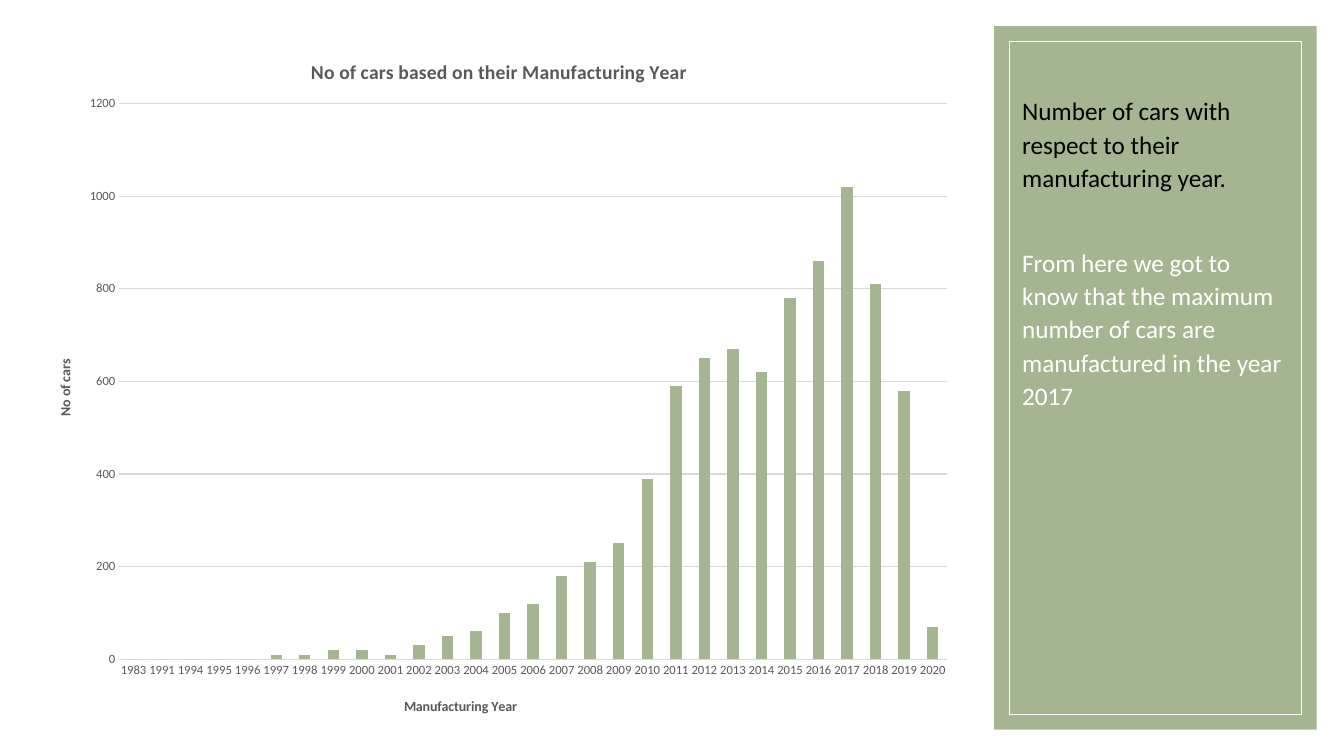
from lxml import etree
from pptx import Presentation, util as u
from pptx.chart.data import CategoryChartData
from pptx.dml.color import RGBColor
from pptx.enum import chart as ch, shapes, text
from pptx.oxml.ns import qn

WIDTH, HEIGHT = 13.33, 7.5
FONT = "Calibri"
GREEN, WHITE, BLACK, GREY, GRID = "A5B592", "FFFFFF", "000000", "595959", "D9D9D9"
PANEL = (9.86, 0.26, 3.2, 6.98)
FRAME_INSET = 0.15
CHART = (0.25, 0.26, 9.33, 6.98)
NOTES_BOX = (10.04, 0.87, 2.87, 3.83)
NOTES = [
    ("Number of cars with respect to their manufacturing year.", BLACK, 8),
    ("From here we got to know that the maximum number of cars are manufactured in the year 2017", WHITE, 37),
]
YEARS = ["1983", "1991"] + [str(year) for year in range(1994, 2021)]
CARS = [0, 0, 0, 0, 0, 10, 10, 20, 20, 10, 30, 50, 60, 100, 120, 180, 210, 250,
        390, 590, 650, 670, 620, 780, 860, 1020, 810, 580, 70]
HEADING = ("No of cars based on their Manufacturing Year", 14, {"x": 0.3, "y": 0.04})
YEAR_TITLE = ("Manufacturing Year", 10, {"x": 0.4, "y": 0.95})
CARS_TITLE = ("No of cars", 10, {"x": 0.03, "y": 0.47})
PLOT = {"x": 0.1, "y": 0.11, "w": 0.88, "h": 0.79}


def colour(code):
    return RGBColor.from_string(code)


def inches(box):
    return [u.Inches(length) for length in box]


def style(font, size, code, bold=False):
    font.name, font.size, font.bold = FONT, u.Pt(size), bold
    font.color.rgb = colour(code)


def place(part, position, shares, inner=False):
    for old in part.findall(qn("c:layout")):
        part.remove(old)
    layout = etree.Element(qn("c:layout"))
    manual = etree.SubElement(layout, qn("c:manualLayout"))
    if inner:
        etree.SubElement(manual, qn("c:layoutTarget")).set("val", "inner")
    for side in "xy":
        etree.SubElement(manual, qn(f"c:{side}Mode")).set("val", "edge")
    for side, share in shares.items():
        etree.SubElement(manual, qn(f"c:{side}")).set("val", str(share))
    part.insert(position, layout)


def write_title(owner, content):
    words, size, shares = content
    owner.has_title = True
    title = owner.chart_title if hasattr(owner, "chart_title") else owner.axis_title
    run = title.text_frame.paragraphs[0].add_run()
    run.text = words
    style(run.font, size, GREY, True)
    place(title._element, 1, shares)


def add_panel(slide):
    left, top, width, height = PANEL
    frame = (left + FRAME_INSET, top + FRAME_INSET,
             width - 2 * FRAME_INSET, height - 2 * FRAME_INSET)
    for box in (PANEL, frame):
        panel = slide.shapes.add_shape(shapes.MSO_SHAPE.RECTANGLE, *inches(box))
        panel.shadow.inherit = False
        if box is PANEL:
            panel.fill.solid()
            panel.fill.fore_color.rgb = colour(GREEN)
            panel.line.fill.background()
        else:
            panel.fill.background()
            panel.line.color.rgb = colour(WHITE)
            panel.line.width = u.Pt(0.5)


def add_car_chart(slide):
    data = CategoryChartData()
    data.categories = YEARS
    data.add_series("Series 1", CARS)
    chart = slide.shapes.add_chart(
        ch.XL_CHART_TYPE.COLUMN_STACKED, *inches(CHART), data).chart
    chart.has_legend = False
    style(chart.font, 10, BLACK)
    bars = chart.plots[0]
    bars.vary_by_categories = False
    bars.gap_width, bars.overlap = 150, 100
    bars.series[0].format.fill.solid()
    bars.series[0].format.fill.fore_color.rgb = colour(GREEN)
    for axis in (chart.category_axis, chart.value_axis):
        axis.major_tick_mark = axis.minor_tick_mark = ch.XL_TICK_MARK.NONE
        axis.format.line.fill.background()
        style(axis.tick_labels.font, 9, GREY)
    cars = chart.value_axis
    cars.minimum_scale, cars.maximum_scale, cars.major_unit = 0, 1200, 200
    cars.has_major_gridlines = True
    cars.major_gridlines.format.line.color.rgb = colour(GRID)
    cars.major_gridlines.format.line.width = u.Pt(0.75)
    write_title(chart, HEADING)
    write_title(chart.category_axis, YEAR_TITLE)
    write_title(cars, CARS_TITLE)
    place(chart._chartSpace.chart.plotArea, 0, PLOT, True)


def add_notes(slide):
    frame = slide.shapes.add_textbox(*inches(NOTES_BOX)).text_frame
    frame.word_wrap = True
    frame.vertical_anchor = text.MSO_ANCHOR.TOP
    for number, (words, code, gap) in enumerate(NOTES):
        paragraph = frame.add_paragraph() if number else frame.paragraphs[0]
        paragraph.line_spacing = 1.1
        paragraph.space_before = u.Pt(gap)
        run = paragraph.add_run()
        run.text = words
        style(run.font, 18, code)


def main():
    deck = Presentation()
    deck.slide_width, deck.slide_height = inches((WIDTH, HEIGHT))
    slide = deck.slides.add_slide(deck.slide_layouts[6])
    add_panel(slide)
    add_car_chart(slide)
    add_notes(slide)
    deck.save("out.pptx")


if __name__ == "__main__":
    main()
